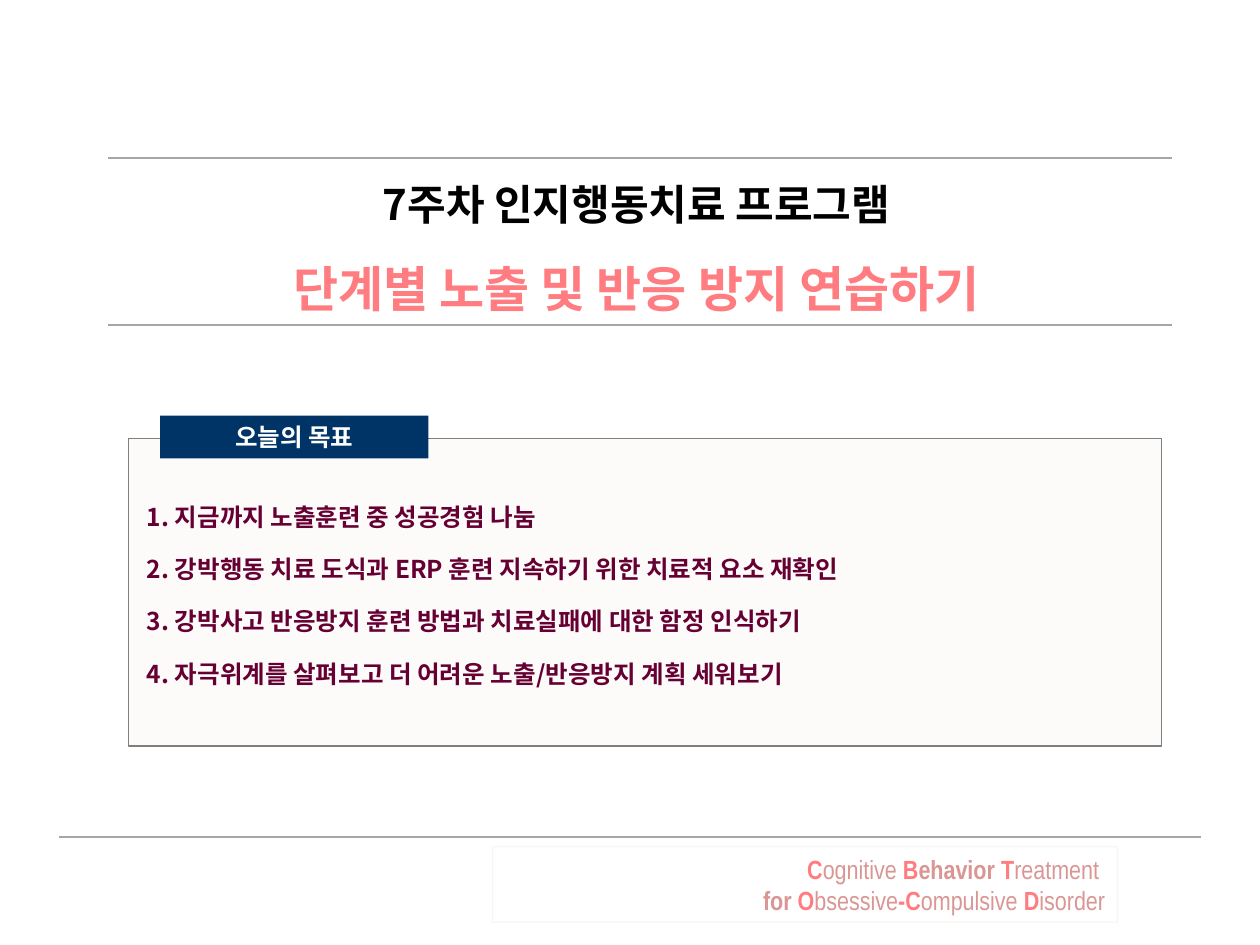
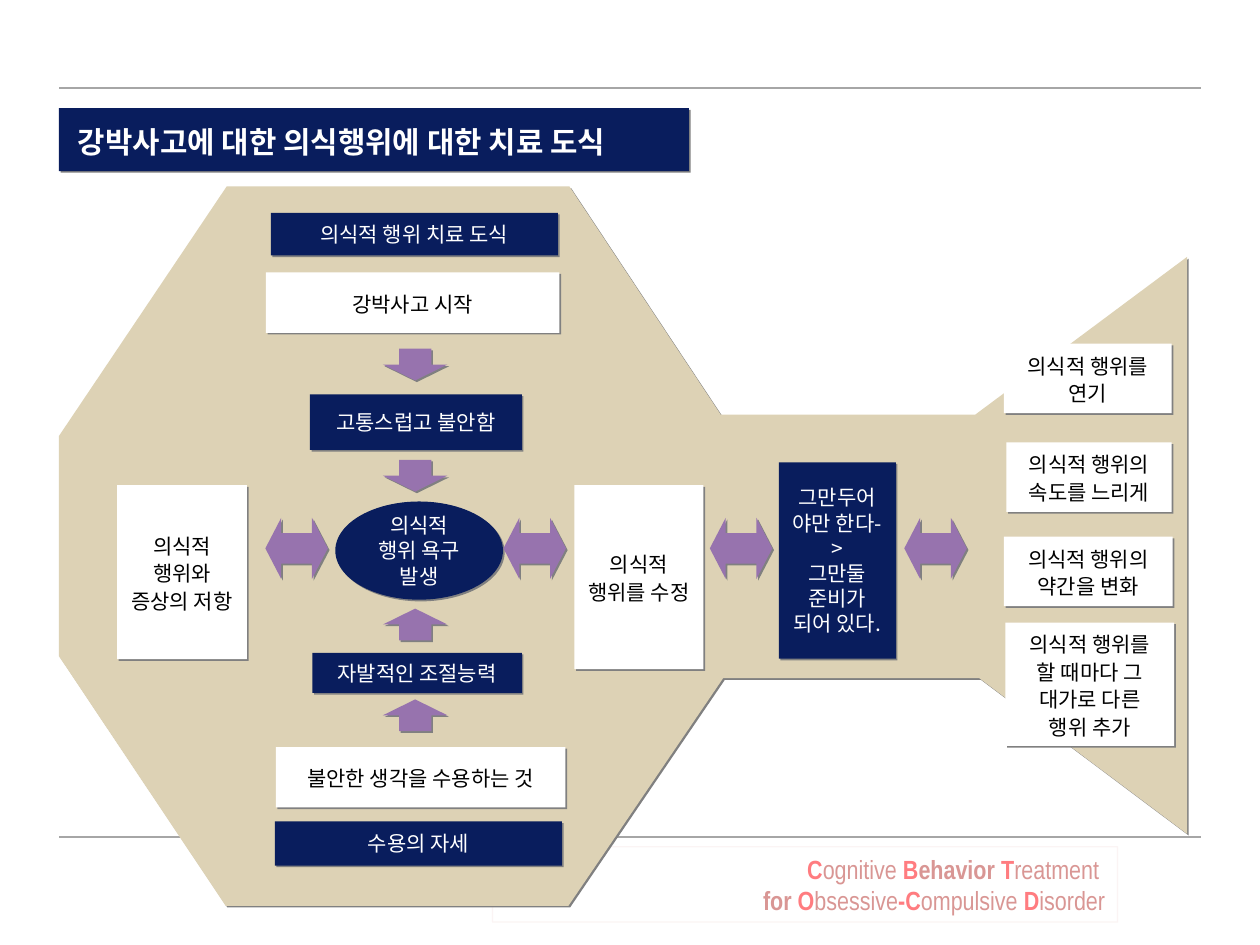
"""Build two slides on week seven of a cognitive behaviour programme."""
from lxml.etree import SubElement as Sub
from pptx import Presentation
from pptx.dml.color import RGBColor
from pptx.enum.shapes import MSO_CONNECTOR as Link, MSO_SHAPE as Kind
from pptx.enum.text import MSO_ANCHOR as Anchor, PP_ALIGN as Align
from pptx.oxml.ns import qn
from pptx.util import Cm, Pt

hue = RGBColor.from_string
NAVY, WHITE, BLACK, SAND, PLUM = "091D5D", "FFFFFF", "000000", "DDD2B5", "9773AE"
GREY, ROSE, CORAL = "A6A6A6", "D99694", "FF7C80"
SANS = "Noto Sans CJK KR"
PAD = {"margin_left": Cm(0.25), "margin_right": Cm(0.25), "word_wrap": True}
TIGHT = {**PAD, "margin_top": Cm(0.25), "margin_bottom": Cm(0.25), "vertical_anchor": Anchor.MIDDLE}


def dress(shp, fill=None, line=None, shade=False):
    """Set the fill, outline and shadow of a shape."""
    shp.shadow.inherit = False
    if fill:
        shp.fill.solid()
        shp.fill.fore_color.rgb = hue(fill)
    else:
        shp.fill.background()
    if line:
        shp.line.color.rgb = hue(line)
        shp.line.width = Pt(0.75)
    else:
        shp.line.fill.background()
    if shade:
        glow = shp.element.spPr.find(qn("a:effectLst"))
        cast = Sub(glow, qn("a:outerShdw"), dist=str(Pt(1.4)), dir="2700000", algn="ctr", rotWithShape="0")
        Sub(cast, qn("a:srgbClr"), val="808080")


def write(shp, rows, look, para, frame):
    """Fill a shape with rows of (text, format) runs."""
    body = shp.text_frame
    for key, val in frame.items():
        setattr(body, key, val)
    for num, row in enumerate(rows):
        par = body.add_paragraph() if num else body.paragraphs[0]
        for key, val in para.items():
            setattr(par, key, val)
        for text, more in row:
            run = par.add_run()
            run.text = text
            style = {**look, **more}
            run.font.color.rgb = hue(style.pop("color"))
            for key, val in style.items():
                setattr(run.font, key, val)
            Sub(run.font._element, qn("a:ea"), typeface=style["name"])


deck = Presentation()
deck.slide_width, deck.slide_height = Cm(25.4), Cm(19.05)
cover, chart = [deck.slides.add_slide(deck.slide_layouts[6]) for _ in range(2)]

soft = {"color": ROSE, "bold": False}
mid = {"color": ROSE, "bold": True}
loud = {"color": CORAL, "bold": True}
motto = [
    [("C", loud), ("ognitive", soft), (" B", loud), ("ehavior", mid), (" T", loud), ("reatment ", soft)],
    [("for", mid), (" O", loud), ("bsessive", soft), ("-C", loud), ("ompulsive", soft), (" D", loud),
     ("isorder", soft)],
]
foot = (1.19, 24.21, 16.87)
rules = [(cover, [foot, (2.18, 23.62, 3.18), (2.18, 23.62, 6.55)]), (chart, [foot, (1.19, 24.21, 1.78)])]
for page, lines in rules:
    for left, right, y in lines:
        rule = page.shapes.add_connector(Link.STRAIGHT, Cm(left), Cm(y), Cm(right), Cm(y))
        rule.line.color.rgb = hue(GREY)
        rule.line.width = Pt(1.25)
        Sub(rule.element.spPr, qn("a:effectLst"))
    sign = page.shapes.add_shape(Kind.RECTANGLE, Cm(9.93), Cm(17.07), Cm(12.6), Cm(1.52))
    dress(sign, line=ROSE)
    tint = sign.element.spPr.find(qn("a:ln")).find(".//" + qn("a:srgbClr"))
    Sub(tint, qn("a:alpha"), val="10000")
    write(sign, motto, {"name": "Arial Narrow", "size": Pt(15)}, {"alignment": Align.RIGHT},
          {**PAD, "vertical_anchor": Anchor.TOP})

title = cover.shapes.add_textbox(Cm(2.77), Cm(2.74), Cm(20.12), Cm(4.01))
write(title,
      [[("7주차 인지행동치료 프로그램", {"size": Pt(24), "color": BLACK})],
       [("단계별 노출 및 반응 방지 연습하기", {"size": Pt(28), "color": CORAL})]],
      {"name": SANS, "bold": True}, {"alignment": Align.CENTER, "line_spacing": 1.5},
      {**PAD, "vertical_anchor": Anchor.MIDDLE})

goals = [
    "1. 지금까지 노출훈련 중 성공경험 나눔",
    "2. 강박행동 치료 도식과 ERP 훈련 지속하기 위한 치료적 요소 재확인",
    "3. 강박사고 반응방지 훈련 방법과 치료실패에 대한 함정 인식하기",
    "4. 자극위계를 살펴보고 더 어려운 노출/반응방지 계획 세워보기",
]
panel = cover.shapes.add_shape(Kind.RECTANGLE, Cm(2.59), Cm(8.84), Cm(20.83), Cm(6.2))
dress(panel, "FCFBF9", "7F7F7F")
write(panel, [[(goal, {})] for goal in goals],
      {"name": SANS, "size": Pt(14), "bold": True, "color": "660033"},
      {"alignment": Align.LEFT, "space_after": Pt(13)},
      {**PAD, "margin_left": Cm(0.37), "margin_top": Cm(1.28), "vertical_anchor": Anchor.TOP})
label = cover.shapes.add_shape(Kind.RECTANGLE, Cm(3.23), Cm(8.38), Cm(5.41), Cm(0.86))
dress(label, "003366")
write(label, [[("오늘의 목표", {})]],
      {"name": SANS, "size": Pt(14), "bold": True, "color": WHITE},
      {"alignment": Align.CENTER}, {**PAD, "vertical_anchor": Anchor.MIDDLE})

band = chart.shapes.add_shape(Kind.RECTANGLE, Cm(1.19), Cm(2.18), Cm(12.7), Cm(1.27))
dress(band, NAVY, shade=True)
write(band, [[("강박사고에 대한 의식행위에 대한 치료 도식", {})]],
      {"name": SANS, "size": Pt(17), "bold": True, "color": WHITE},
      {"alignment": Align.LEFT, "line_spacing": 1.1}, {**TIGHT, "margin_left": Cm(0.38)})

edge = [(1.19, 8.79), (4.57, 3.76), (11.48, 3.76), (14.53, 8.36), (19.66, 8.36), (23.93, 5.18),
        (23.93, 16.81), (19.74, 13.67), (14.58, 13.67), (11.46, 18.26), (4.55, 18.26), (1.19, 13.23)]
spots = [(Cm(x), Cm(y)) for x, y in edge]
hull = chart.shapes.build_freeform(*spots[0])
hull.add_line_segments(spots[1:], close=True)
dress(hull.convert_to_shape(), SAND, shade=True)

BOX, OVAL = Kind.RECTANGLE, Kind.OVAL
steps = [
    (BOX, NAVY, 5.46, 4.29, 5.79, 0.86, ["의식적 행위 치료 도식"]),
    (BOX, WHITE, 5.36, 5.49, 5.92, 1.22, ["강박사고 시작"]),
    (BOX, NAVY, 6.25, 7.95, 4.27, 1.12, ["고통스럽고 불안함"]),
    (OVAL, NAVY, 6.76, 10.11, 3.38, 1.98, ["의식적 행위 욕구 발생"]),
    (BOX, NAVY, 6.3, 13.16, 4.22, 0.81, ["자발적인 조절능력"]),
    (BOX, WHITE, 5.56, 15.06, 5.84, 1.22, ["불안한 생각을 수용하는 것"]),
    (BOX, NAVY, 5.54, 16.56, 5.79, 0.89, ["수용의 자세"]),
    (BOX, WHITE, 2.36, 9.78, 2.62, 3.51, ["의식적 행위와 증상의 저항"]),
    (BOX, WHITE, 11.58, 9.78, 2.6, 3.71, ["의식적 행위를 수정"]),
    (BOX, NAVY, 15.7, 9.32, 2.36, 3.96, ["그만두어야만 한다->", "그만둘 준비가 되어 있다."]),
    (BOX, WHITE, 20.24, 6.93, 3.38, 1.4, ["의식적 행위를 연기"]),
    (BOX, WHITE, 20.29, 8.92, 3.33, 1.4, ["의식적 행위의 속도를 느리게"]),
    (BOX, WHITE, 20.24, 10.82, 3.4, 1.4, ["의식적 행위의 약간을 변화"]),
    (BOX, WHITE, 20.27, 12.55, 3.4, 2.49, ["의식적 행위를 할 때마다 그 대가로 다른 행위 추가"]),
]
for kind, fill, x, y, wide, high, words in steps:
    step = chart.shapes.add_shape(kind, Cm(x), Cm(y), Cm(wide), Cm(high))
    dress(step, fill, shade=True)
    dark = fill == NAVY
    write(step, [[(word, {})] for word in words],
          {"name": SANS, "size": Pt(12), "color": WHITE if dark else BLACK},
          {"alignment": Align.CENTER, "line_spacing": 1.0 if dark else 1.1}, TIGHT)

arrows = [(Kind.DOWN_ARROW, 7.72, y, 1.3, 0.64) for y in (7.03, 9.27)]
arrows += [(Kind.UP_ARROW, 7.72, y, 1.3, 0.64) for y in (12.27, 14.1)]
arrows += [(Kind.LEFT_RIGHT_ARROW, x, 10.44, 1.26, 1.23) for x in (5.35, 10.15, 14.31, 18.23)]
for kind, x, y, wide, high in arrows:
    arrow = chart.shapes.add_shape(kind, Cm(x), Cm(y), Cm(wide), Cm(high))
    arrow.adjustments[0] = 0.5
    arrow.adjustments[1] = 0.26 if kind == Kind.LEFT_RIGHT_ARROW else 0.5
    dress(arrow, PLUM, shade=True)

deck.save("out.pptx")
